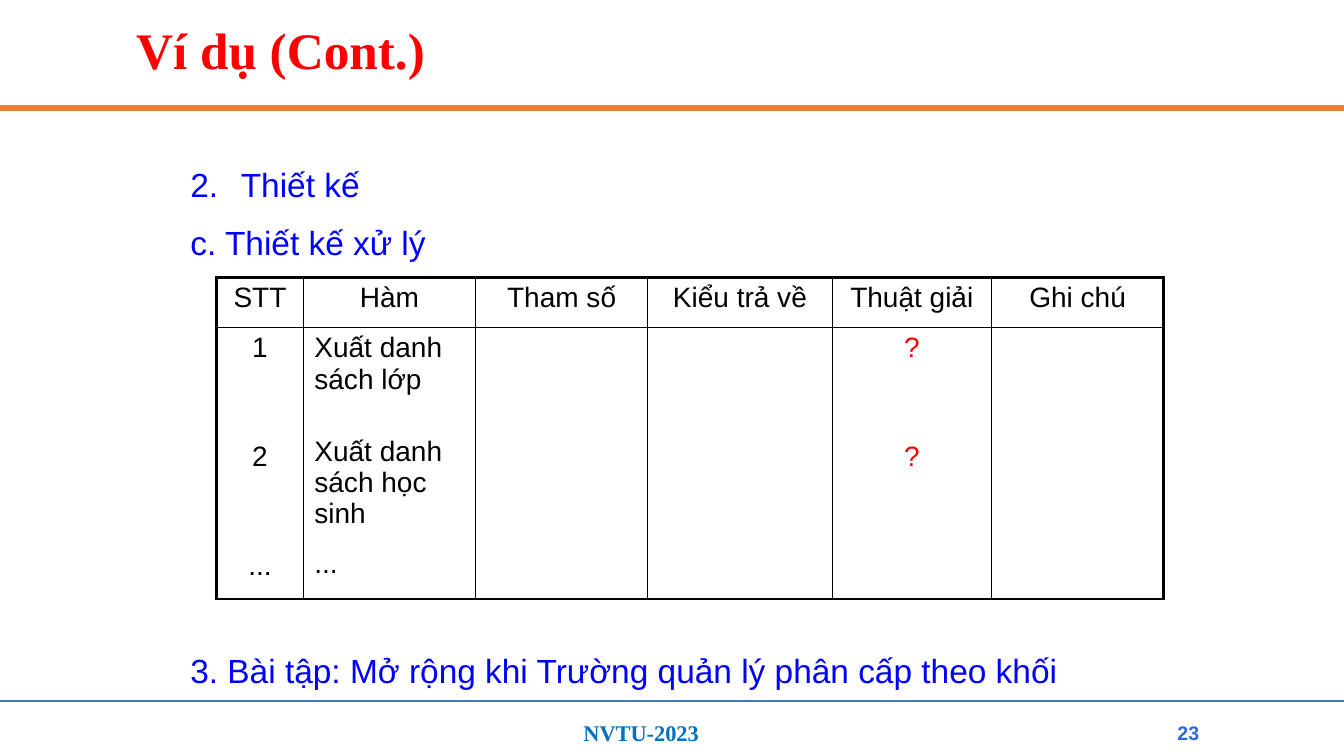
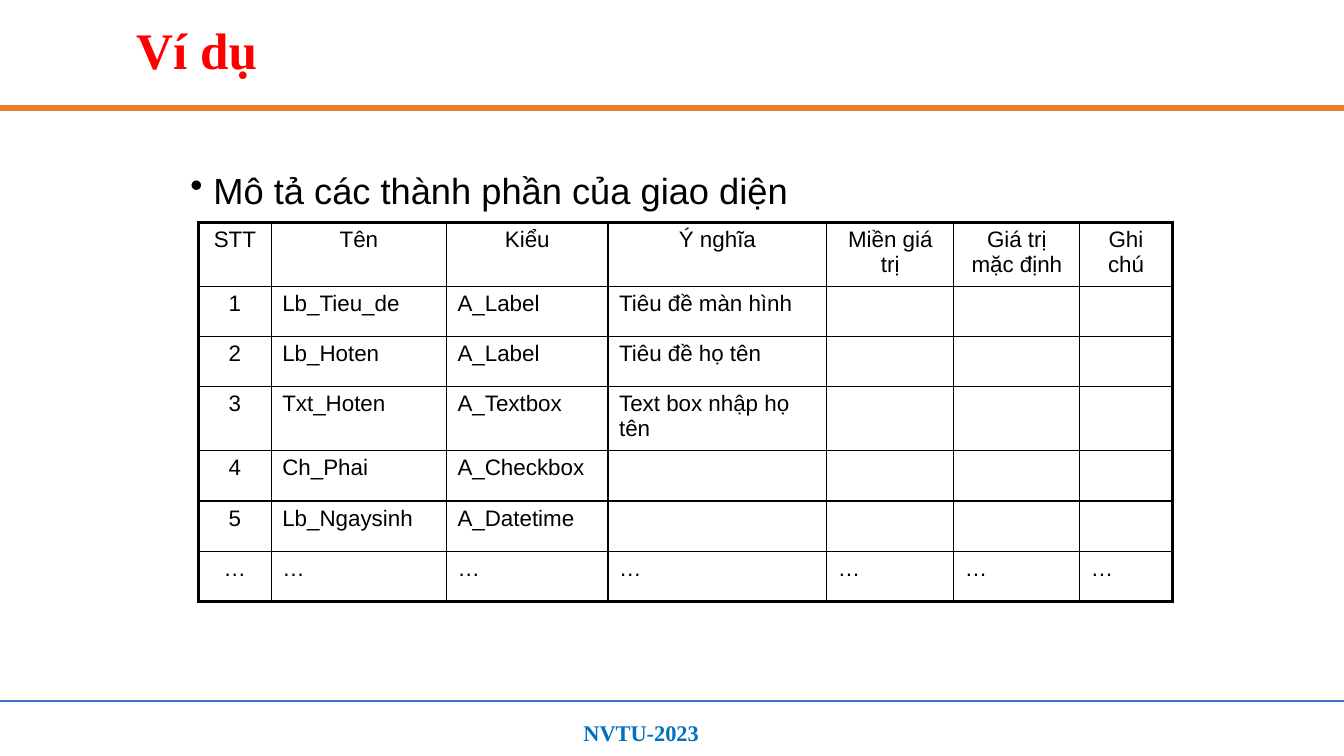
from lxml.etree import SubElement
from pptx import Presentation
from pptx.dml.color import RGBColor
from pptx.enum.shapes import MSO_CONNECTOR
from pptx.enum.text import MSO_ANCHOR, MSO_AUTO_SIZE, PP_ALIGN
from pptx.oxml.ns import qn
from pptx.util import Pt

COLORS = {
    "title": "FF0000",
    "title_rule": "ED7D31",
    "footer_rule": "4472C4",
    "footer": "0070C0",
    "number": "3167D3",
    "heading": "0000FF",
    "text": "000000",
    "question": "FF0303",
}
SANS, SERIF = "Arial", "Times New Roman"
WIDTH, HEIGHT = 960, 540
RULES = [(77, "title_rule", 4.5), (500.4, "footer_rule", 1.5)]
FOOTER = "NVTU-2023"
OUTER, INNER = 2.25, 1
ENTRY_GAP = 55.5

DESIGN = {
    "title": "Ví dụ (Cont.)",
    "number": "23",
    "texts": [
        {"at": (128.9, 113.4, 702, 80), "size": 23.9, "color": "heading",
         "paras": [{"text": "Thiết kế", "bullet": ("buAutoNum", {"type": "arabicPeriod", "startAt": "2"}),
                    "indent": 36},
                   {"text": "c. Thiết kế xử lý", "before": 13.2}]},
        {"at": (128.9, 461, 702, 36), "size": 23.9, "color": "heading",
         "paras": [{"text": "3. Bài tập: Mở rộng khi Trường quản lý phân cấp theo khối"}]},
    ],
    "table": {
        "at": (154.8, 198), "size": 20,
        "columns": [61.9, 123, 123, 131.8, 113.8, 123],
        "heights": [36, 187.2],
        "rows": [
            ["STT", "Hàm", "Tham số", "Kiểu trả về", "Thuật giải", "Ghi chú"],
            [
                [{"text": "1"}, {"text": "2", "before": ENTRY_GAP}, {"text": "...", "before": ENTRY_GAP}],
                [{"text": "Xuất danh sách lớp"},
                 {"text": "Xuất danh sách học sinh", "before": 29.1},
                 {"text": "...", "before": 13.4}],
                "",
                "",
                [{"text": "?", "color": "question", "align": PP_ALIGN.CENTER},
                 {"text": "?", "color": "question", "align": PP_ALIGN.CENTER, "before": ENTRY_GAP}],
                "",
            ],
        ],
    },
}

INTERFACE = {
    "title": "Ví dụ",
    "number": None,
    "texts": [
        {"at": (128.9, 116.6, 695.5, 40), "size": 25.9, "color": "text",
         "paras": [{"text": "Mô tả các thành phần của giao diện",
                    "bullet": ("buChar", {"char": "•"}), "indent": 16.5}]},
    ],
    "table": {
        "at": (141.8, 159), "size": 16,
        "columns": [52, 125.2, 115.4, 156.2, 90.8, 90, 66],
        "heights": [45.7, 35.5, 36, 45.7, 36, 36, 36],
        "rows": [
            ["STT", "Tên", "Kiểu", "Ý nghĩa", "Miền giá trị", "Giá trị mặc định", "Ghi chú"],
            ["1", "Lb_Tieu_de", "A_Label", "Tiêu đề màn hình", "", "", ""],
            ["2", "Lb_Hoten", "A_Label", "Tiêu đề họ tên", "", "", ""],
            ["3", "Txt_Hoten", "A_Textbox", "Text box nhập họ tên", "", "", ""],
            ["4", "Ch_Phai", "A_Checkbox", "", "", "", ""],
            ["5", "Lb_Ngaysinh", "A_Datetime", "", "", "", ""],
            ["…"] * 7,
        ],
    },
}


def write(para, text, size=16, color="text", font=SANS, bold=False, align=PP_ALIGN.LEFT,
          before=0, spacing=1.0, bullet=None, indent=0):
    para.alignment = align
    para.line_spacing = spacing
    para.space_before = Pt(before)
    if bullet:
        name, attributes = bullet
        properties = para._p.get_or_add_pPr()
        properties.set("marL", str(Pt(indent)))
        properties.set("indent", str(-Pt(indent)))
        SubElement(properties, qn(f"a:{name}"), attributes)
    span = para.add_run()
    span.text = text
    span.font.name = font
    span.font.size = Pt(size)
    span.font.bold = bold
    span.font.color.rgb = RGBColor.from_string(COLORS[color])


def fill_frame(frame, paras, **style):
    for index, entry in enumerate(paras):
        para = frame.add_paragraph() if index else frame.paragraphs[0]
        write(para, **{**style, **entry})


def add_text(page, at, paras, anchor=MSO_ANCHOR.TOP, **style):
    box = page.shapes.add_textbox(*map(Pt, at))
    box.text_frame.word_wrap = True
    box.text_frame.vertical_anchor = anchor
    fill_frame(box.text_frame, paras, **style)


def add_rule(page, y, color, weight):
    rule = page.shapes.add_connector(MSO_CONNECTOR.STRAIGHT, 0, Pt(y), Pt(WIDTH), Pt(y))
    rule.line.color.rgb = RGBColor.from_string(COLORS[color])
    rule.line.width = Pt(weight)
    SubElement(rule._element.spPr, qn("a:effectLst"))


def set_borders(cell, weights):
    properties = cell._tc.get_or_add_tcPr()
    for position, (side, weight) in enumerate(weights.items()):
        border = SubElement(properties, qn(f"a:ln{side}"), {"w": str(Pt(weight))})
        fill = SubElement(border, qn("a:solidFill"))
        SubElement(fill, qn("a:srgbClr"), {"val": COLORS["text"]})
        properties.insert(position, border)


def add_grid(page, at, size, columns, heights, rows):
    left, top = at
    frame = page.shapes.add_table(len(rows), len(columns), Pt(left), Pt(top),
                                  Pt(sum(columns)), Pt(sum(heights)))
    table = frame.table
    table.first_row = table.horz_banding = False
    for column, width in zip(table.columns, columns):
        column.width = Pt(width)
    for row, height in zip(table.rows, heights):
        row.height = Pt(height)
    last_row, last_column = len(rows) - 1, len(columns) - 1
    for r, values in enumerate(rows):
        for c, value in enumerate(values):
            cell = table.cell(r, c)
            cell.margin_left = cell.margin_right = Pt(7.9)
            cell.margin_top = cell.margin_bottom = Pt(3.6)
            cell.fill.background()
            edges = {"L": c == 0, "R": c == last_column, "T": r == 0, "B": r == last_row}
            set_borders(cell, {side: OUTER if outer else INNER for side, outer in edges.items()})
            if value:
                paras = [{"text": value}] if isinstance(value, str) else value
                align = PP_ALIGN.CENTER if r == 0 or c == 0 else PP_ALIGN.LEFT
                fill_frame(cell.text_frame, paras, size=size, align=align)


def add_page(deck, content):
    page = deck.slides.add_slide(deck.slide_layouts[5])
    for rule in RULES:
        add_rule(page, *rule)
    add_text(page, (409.7, 510.5, 128.2, 26.6), [{"text": FOOTER}],
             size=16, font=SERIF, color="footer", bold=True)
    title = page.shapes.title
    title.left, title.top, title.width, title.height = map(Pt, (90, 16.6, 780, 41.8))
    title.text_frame.auto_size = MSO_AUTO_SIZE.NONE
    title.text_frame.vertical_anchor = MSO_ANCHOR.MIDDLE
    write(title.text_frame.paragraphs[0], content["title"], size=36.6, font=SERIF,
          color="title", bold=True, spacing=0.9)
    for text in content["texts"]:
        add_text(page, **text)
    add_grid(page, **content["table"])
    if content["number"]:
        add_text(page, (832.3, 510.5, 33.1, 25.9), [{"text": content["number"]}],
                 anchor=MSO_ANCHOR.MIDDLE, size=14, color="number", bold=True,
                 align=PP_ALIGN.CENTER)


def main():
    deck = Presentation()
    deck.slide_width, deck.slide_height = Pt(WIDTH), Pt(HEIGHT)
    for content in (DESIGN, INTERFACE):
        add_page(deck, content)
    deck.save("out.pptx")


if __name__ == "__main__":
    main()
